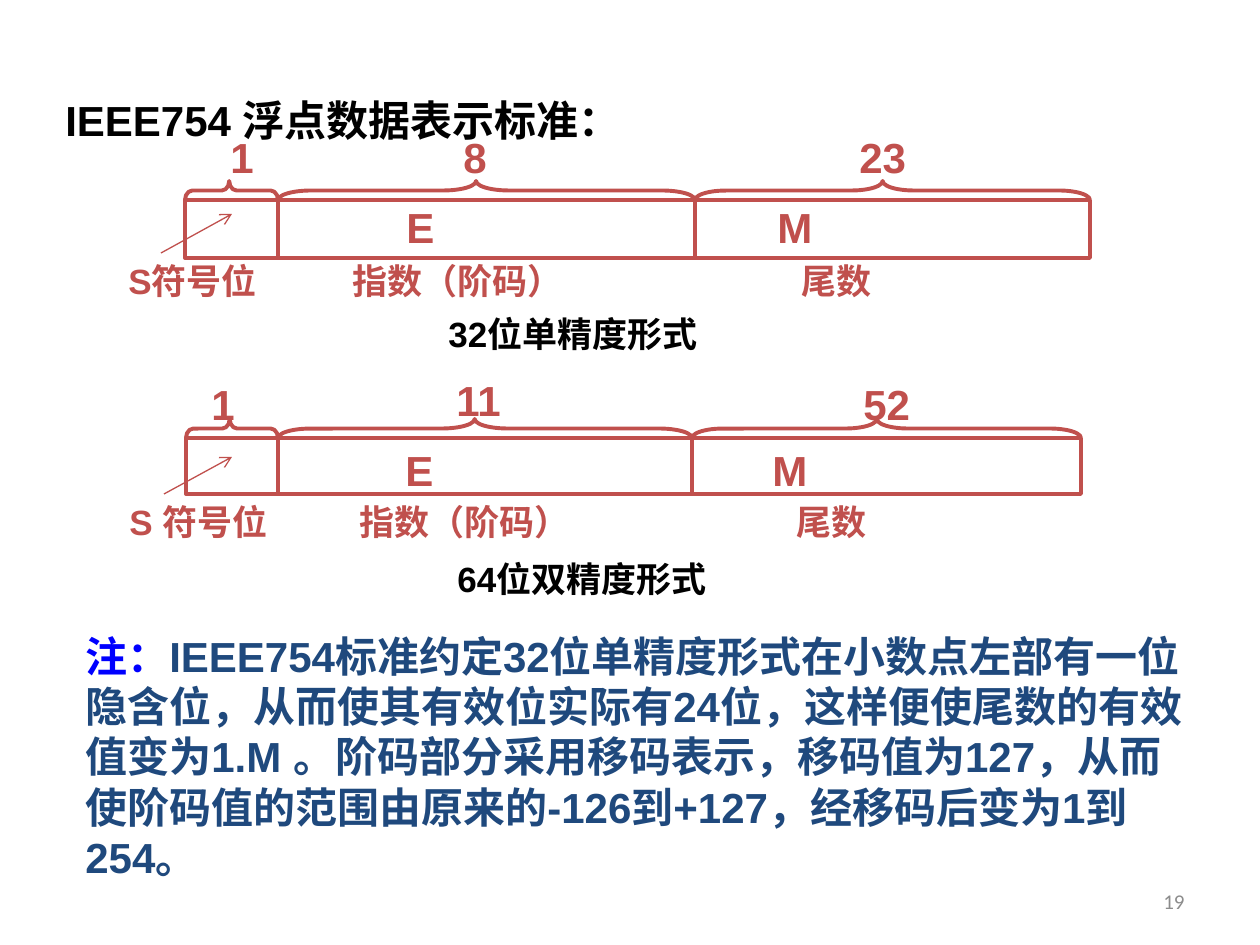
from itertools import pairwise

from lxml.etree import SubElement
from pptx import Presentation
from pptx.dml.color import RGBColor
from pptx.enum.shapes import MSO_CONNECTOR as Connector, MSO_SHAPE as Shape
from pptx.enum.text import MSO_ANCHOR as Anchor, MSO_AUTO_SIZE as AutoSize, PP_ALIGN as Align
from pptx.oxml.ns import qn
from pptx.util import Pt

PX_PER_INCH = 126
RED, BLACK, BLUE, NAVY, GREY = "C0504D", "000000", "0000FF", "1F497D", "8C8C8C"
BRACE_HEIGHT = 19
BRACE_CURVES = (0.385, 1.731, 1.635)

# Each format: edges of its fields, top and height of the bar, pointer, labels and caption.
# A label is (text, size, box).
FORMATS = [
    {
        "edges": (185, 278, 695, 1090), "top": 200, "height": 58,
        "pointer": (161, 253, 232, 214),
        "labels": [
            ("1", 24, (218, 125, 47, 39)),
            ("8", 24, (451, 125, 50, 58)),
            ("23", 24, (847, 125, 86, 48)),
            ("E", 24, (394, 195, 116, 58)),
            ("M", 24, (765, 195, 116, 58)),
            ("S符号位", 20, (116, 253, 198, 58)),
            ("指数（阶码）", 20, (340, 253, 341, 58)),
            ("尾数", 20, (789, 253, 155, 58)),
        ],
        "caption": ("32位单精度形式", (436, 306, 372, 54)),
    },
    {
        "edges": (186, 278, 692, 1081), "top": 438, "height": 56,
        "pointer": (164, 494, 232, 457),
        "labels": [
            ("1", 24, (199, 372, 45, 38)),
            ("11", 24, (444, 368, 92, 57)),
            ("52", 24, (851, 372, 84, 47)),
            ("E", 24, (393, 438, 115, 56)),
            ("M", 24, (760, 438, 115, 56)),
            ("S 符号位", 20, (117, 494, 208, 57)),
            ("指数（阶码）", 20, (347, 494, 294, 57)),
            ("尾数", 20, (784, 494, 152, 57)),
        ],
        "caption": ("64位双精度形式", (445, 551, 353, 54)),
    },
]

NOTE = ("IEEE754标准约定32位单精度形式在小数点左部有一位隐含位，从而使其有效位实际有24位，"
        "这样便使尾数的有效值变为1.M 。阶码部分采用移码表示，移码值为127，"
        "从而使阶码值的范围由原来的-126到+127，经移码后变为1到254。")


def px(*lengths):
    return [round(length * 914400 / PX_PER_INCH) for length in lengths]


def color(value):
    return RGBColor.from_string(value)


def add_span(para, text, size, hue, font="Arial", bold=True):
    span = para.add_run()
    span.text = text
    span.font.size = Pt(size)
    span.font.name = font
    span.font.bold = bold
    span.font.color.rgb = color(hue)


def add_text(page, text, area, size=24, hue=RED, align=Align.LEFT,
             anchor=Anchor.TOP, grow=False, **style):
    box = page.shapes.add_textbox(*px(*area))
    frame = box.text_frame
    frame.word_wrap = True
    frame.vertical_anchor = anchor
    frame.auto_size = AutoSize.SHAPE_TO_FIT_TEXT if grow else AutoSize.NONE
    para = frame.paragraphs[0]
    para.alignment = align
    add_span(para, text, size, hue, **style)
    return para


def add_outline(parent, kind, area):
    shape = parent.shapes.add_shape(kind, *px(*area))
    shape.shadow.inherit = False
    shape.fill.background()
    shape.line.color.rgb = color(RED)
    shape.line.width = Pt(2.25)
    return shape


def add_line(parent, ends, width=2.25, arrow=False):
    line = parent.shapes.add_connector(Connector.STRAIGHT, *px(*ends))
    line.line.color.rgb = color(RED)
    line.line.width = Pt(width)
    if arrow:
        SubElement(line.line._get_or_add_ln(), qn("a:tailEnd"), type="arrow")
    SubElement(line._element.spPr, qn("a:effectLst"))


def add_brace(parent, left, right, bottom, curve):
    """Draw a brace that opens downwards over left to right."""
    length = right - left
    middle_x, middle_y = (left + right) / 2, bottom - BRACE_HEIGHT / 2
    brace = add_outline(parent, Shape.LEFT_BRACE, (
        middle_x - BRACE_HEIGHT / 2, middle_y - length / 2, BRACE_HEIGHT, length))
    brace.rotation = 90
    brace.adjustments[0] = curve
    brace.adjustments[1] = 0.525


def add_bar(page, edges, top, height):
    """Draw the bar with its fields and a brace over each field."""
    group = page.shapes.add_group_shape()
    add_outline(group, Shape.RECTANGLE, (edges[0], top, edges[-1] - edges[0], height))
    for x in edges[1:-1]:
        add_line(group, (x, top, x, top + height))
    for (left, right), curve in zip(pairwise(edges), BRACE_CURVES):
        add_brace(group, left, right, top, curve)


def add_format(page, edges, top, height, pointer, labels, caption):
    add_bar(page, edges, top, height)
    add_line(page, pointer, width=0.75, arrow=True)
    for text, size, area in labels:
        add_text(page, text, area, size=size, align=Align.JUSTIFY)
    text, area = caption
    add_text(page, text, area, size=20, hue=BLACK, grow=True)


def main():
    deck = Presentation()
    deck.slide_width, deck.slide_height = px(1260, 945)
    page = deck.slides.add_slide(deck.slide_layouts[6])
    add_text(page, "IEEE754 浮点数据表示标准：", (53, 88, 643, 63), hue=BLACK)
    for layout in FORMATS:
        add_format(page, **layout)
    note = add_text(page, "注：", (73, 624, 1134, 217), hue=BLUE, grow=True)
    add_span(note, NOTE, 24, NAVY)
    add_text(page, "19", (903, 876, 294, 50), size=12, hue=GREY, align=Align.RIGHT,
             anchor=Anchor.MIDDLE, font="Calibri", bold=False)
    deck.save("out.pptx")


if __name__ == "__main__":
    main()
